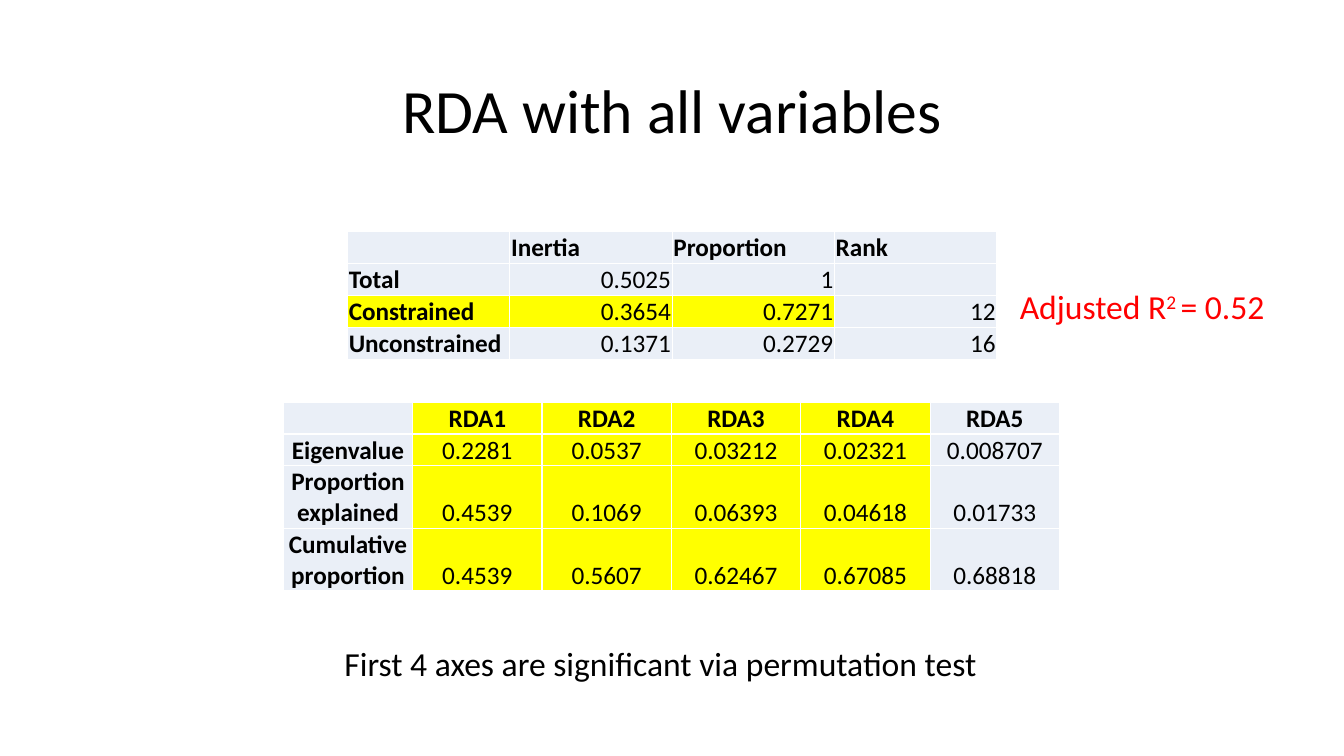
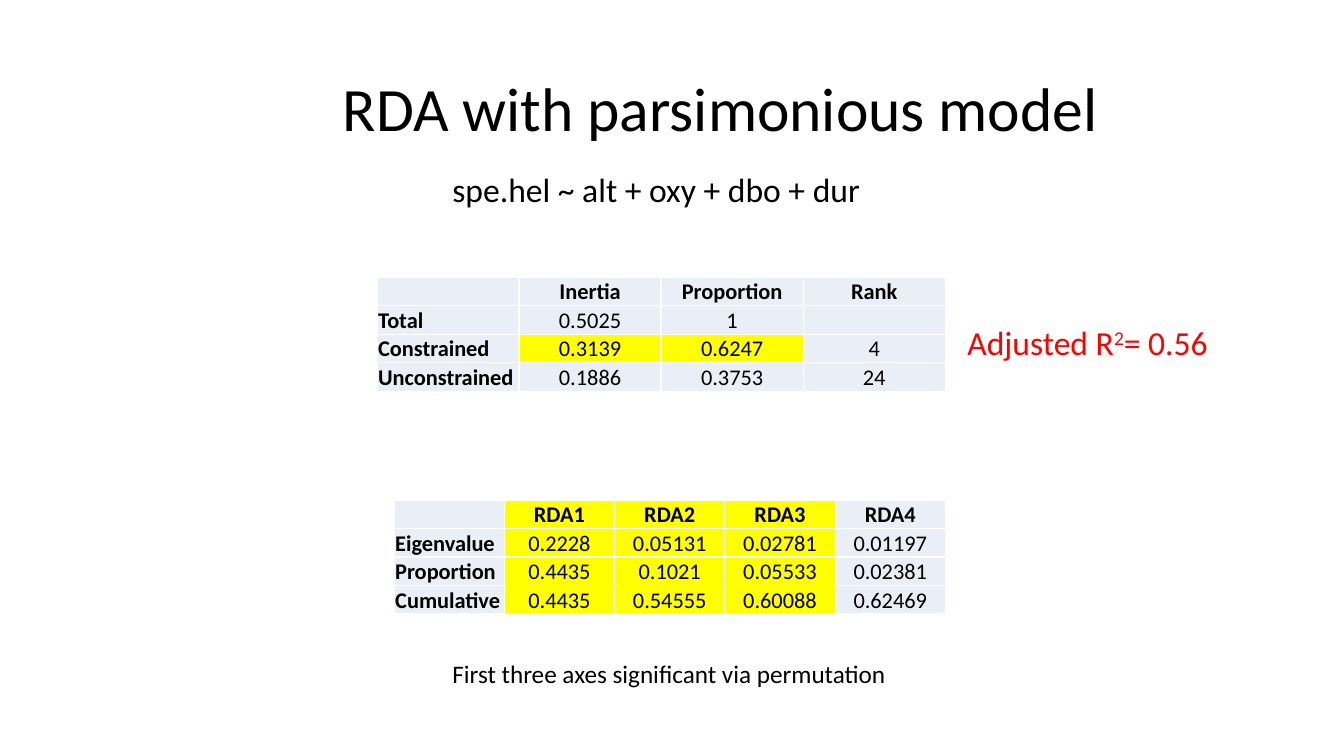
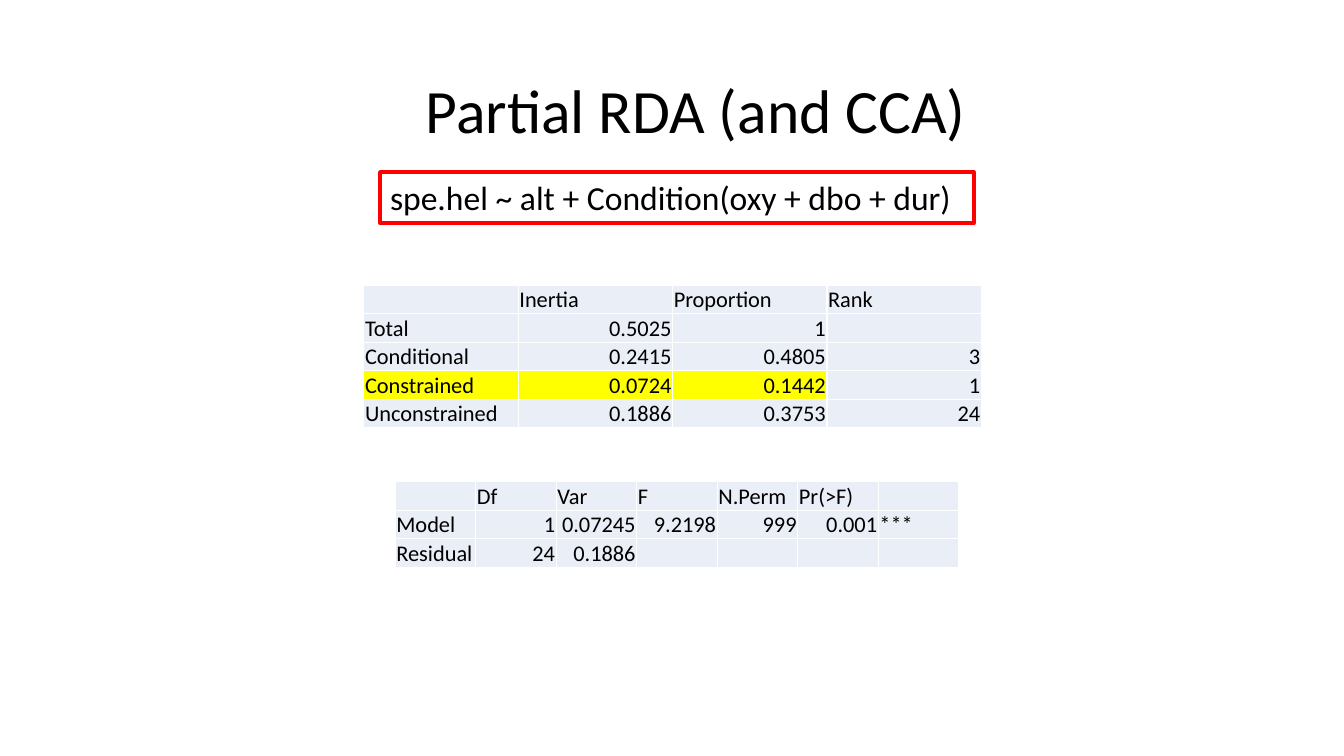
from lxml import etree
from pptx import Presentation
from pptx.dml.color import RGBColor
from pptx.enum.text import MSO_ANCHOR, MSO_AUTO_SIZE, PP_ALIGN
from pptx.oxml.ns import qn
from pptx.util import Cm, Pt

LEFT, CENTER, RIGHT = PP_ALIGN.LEFT, PP_ALIGN.CENTER, PP_ALIGN.RIGHT
MIDDLE, BOTTOM = MSO_ANCHOR.MIDDLE, MSO_ANCHOR.BOTTOM
GROW = MSO_AUTO_SIZE.SHAPE_TO_FIT_TEXT
FONT = "Calibri"
COLORS = {"text": "000000", "accent": "FF0000", "cell": "EAEFF7",
          "highlight": "FFFF00", "border": "FFFFFF"}
CELL_INSET = 0.03
LINE_PER_POINT = 0.043


def color(name):
    return RGBColor.from_string(COLORS[name])


def add_span(para, text, size, ink="text", bold=False, raised=False):
    span = para.add_run()
    span.text = text
    span.font.name, span.font.size, span.font.bold = FONT, Pt(size), bold
    span.font.color.rgb = color(ink)
    if raised:
        span._r.get_or_add_rPr().set("baseline", "30000")


def add_title(page, text, left=2.34, top=1.02, width=29.21):
    box = page.shapes.add_textbox(Cm(left), Cm(top), Cm(width), Cm(3.68))
    box.text_frame.word_wrap = True
    box.text_frame.vertical_anchor = MIDDLE
    para = box.text_frame.paragraphs[0]
    para.alignment, para.line_spacing = CENTER, 0.9
    add_span(para, text, 44)


def add_note(page, left, top, width, *parts, height=1.28, size=24, ink="text"):
    """Place one unwrapped line; every second part is superscript."""
    box = page.shapes.add_textbox(Cm(left), Cm(top), Cm(width), Cm(height))
    box.text_frame.word_wrap = False
    box.text_frame.auto_size = GROW
    for index, part in enumerate(parts):
        add_span(box.text_frame.paragraphs[0], part, size, ink, raised=index % 2 == 1)
    return box


def add_borders(cell):
    properties = cell._tc.get_or_add_tcPr()
    for side in ("a:lnL", "a:lnR", "a:lnT", "a:lnB"):
        line = etree.SubElement(properties, qn(side), w=str(Pt(1)))
        fill = etree.SubElement(line, qn("a:solidFill"))
        etree.SubElement(fill, qn("a:srgbClr"), val=COLORS["border"])


def fill_cell(cell, text, size, align, bold, fill):
    cell.margin_left = cell.margin_right = cell.margin_top = Cm(CELL_INSET)
    cell.margin_bottom = 0
    cell.vertical_anchor = BOTTOM
    add_borders(cell)
    cell.fill.solid()
    cell.fill.fore_color.rgb = color(fill)
    frame = cell.text_frame
    for index, line in enumerate(text.split("\n")):
        para = frame.add_paragraph() if index else frame.paragraphs[0]
        para.alignment = align
        if line:
            add_span(para, line, size, bold=bold)
        else:
            etree.SubElement(para._p, qn("a:endParaRPr"), sz=str(size * 100))


def add_grid(page, left, top, column_width, rows, size=16, header=LEFT, label=LEFT,
             value=RIGHT, bold=True, marked_rows=(), marked_columns=(), row_lines=None):
    """Place a table; cells in both a marked row and a marked column are highlighted."""
    row_lines = row_lines or [1] * len(rows)
    heights = [Cm(size * LINE_PER_POINT * lines + CELL_INSET) for lines in row_lines]
    width = Cm(column_width)
    table = page.shapes.add_table(len(rows), len(rows[0]), Cm(left), Cm(top),
                                  width * len(rows[0]), sum(heights)).table
    table.first_row = table.horz_banding = False
    for column in table.columns:
        column.width = width
    for r, (row, height) in enumerate(zip(rows, heights)):
        table.rows[r].height = height
        for c, text in enumerate(row):
            align = header if r == 0 else value if text[:1].isdigit() else label
            marked = r in marked_rows and c in marked_columns
            fill_cell(table.cell(r, c), text, size, align, bold and 0 in (r, c),
                      "highlight" if marked else "cell")


def build_full_model(page):
    add_title(page, "RDA with all variables")
    add_grid(page, 8.76, 5.84, 4.09, [
        ["", "Inertia", "Proportion", "Rank"],
        ["Total", "0.5025", "1", ""],
        ["Constrained", "0.3654", "0.7271", "12"],
        ["Unconstrained", "0.1371", "0.2729", "16"],
    ], size=18, marked_rows=[2], marked_columns=range(3))
    add_grid(page, 7.14, 10.13, 3.26, [
        ["", "RDA1", "RDA2", "RDA3", "RDA4", "RDA5"],
        ["Eigenvalue", "0.2281", "0.0537", "0.03212", "0.02321", "0.008707"],
        ["Proportion explained", "0.4539", "0.1069", "0.06393", "0.04618", "0.01733"],
        ["Cumulative\nproportion", "0.4539", "0.5607", "0.62467", "0.67085", "0.68818"],
    ], size=18, header=CENTER, label=CENTER, value=CENTER,
        marked_rows=range(4), marked_columns=range(1, 5), row_lines=[1, 1, 2, 2])
    add_note(page, 25.45, 7.09, 6.78, "Adjusted R", "2 ", "= 0.52", ink="accent")
    add_note(page, 8.43, 16.08, 16.59, "First 4 axes are significant via permutation test")


def build_parsimonious_model(page):
    add_title(page, "RDA with parsimonious model", left=3.56, top=0.97)
    add_grid(page, 9.5, 6.99, 3.58, [
        ["", "Inertia", "Proportion", "Rank"],
        ["Total", "0.5025", "1", ""],
        ["Constrained", "0.3139", "0.6247", "4"],
        ["Unconstrained", "0.1886", "0.3753", "24"],
    ], header=CENTER, value=CENTER, marked_rows=[2], marked_columns=[1, 2])
    add_note(page, 11.15, 4.14, 11.07, "spe.hel ~ alt + oxy + dbo + dur")
    add_note(page, 24.13, 7.98, 6.65, "Adjusted R", "2", "= 0.56", ink="accent")
    add_grid(page, 9.93, 12.6, 2.78, [
        ["", "RDA1", "RDA2", "RDA3", "RDA4"],
        ["Eigenvalue", "0.2228", "0.05131", "0.02781", "0.01197"],
        ["Proportion", "0.4435", "0.1021", "0.05533", "0.02381"],
        ["Cumulative", "0.4435", "0.54555", "0.60088", "0.62469"],
    ], header=CENTER, value=CENTER, marked_rows=range(4), marked_columns=range(1, 4))
    add_note(page, 11.15, 16.46, 11.58, "First three axes significant via permutation",
             height=1.03, size=18)


def build_partial_model(page):
    add_title(page, "Partial RDA (and CCA)", width=30.4)
    formula = add_note(page, 9.58, 4.34, 14.96, "spe.hel ~ alt + Condition(oxy + dbo + dur)")
    formula.line.color.rgb = color("accent")
    formula.line.width = Pt(3)
    add_grid(page, 9.17, 7.19, 3.89, [
        ["", "Inertia", "Proportion", "Rank"],
        ["Total", "0.5025", "1", ""],
        ["Conditional", "0.2415", "0.4805", "3"],
        ["Constrained", "0.0724", "0.1442", "1"],
        ["Unconstrained", "0.1886", "0.3753", "24"],
    ], bold=False, marked_rows=[3], marked_columns=range(3))
    add_grid(page, 9.96, 12.14, 2.03, [
        ["", "Df", "Var", "F", "N.Perm", "Pr(>F)", ""],
        ["Model", "1", "0.07245", "9.2198", "999", "0.001", "***"],
        ["Residual", "24", "0.1886", "", "", "", ""],
    ], bold=False)


def main():
    deck = Presentation()
    deck.slide_width, deck.slide_height = Cm(33.87), Cm(19.05)
    blank = deck.slide_layouts[6]
    for build in (build_full_model, build_parsimonious_model, build_partial_model):
        build(deck.slides.add_slide(blank))
    deck.save("out.pptx")


if __name__ == "__main__":
    main()
